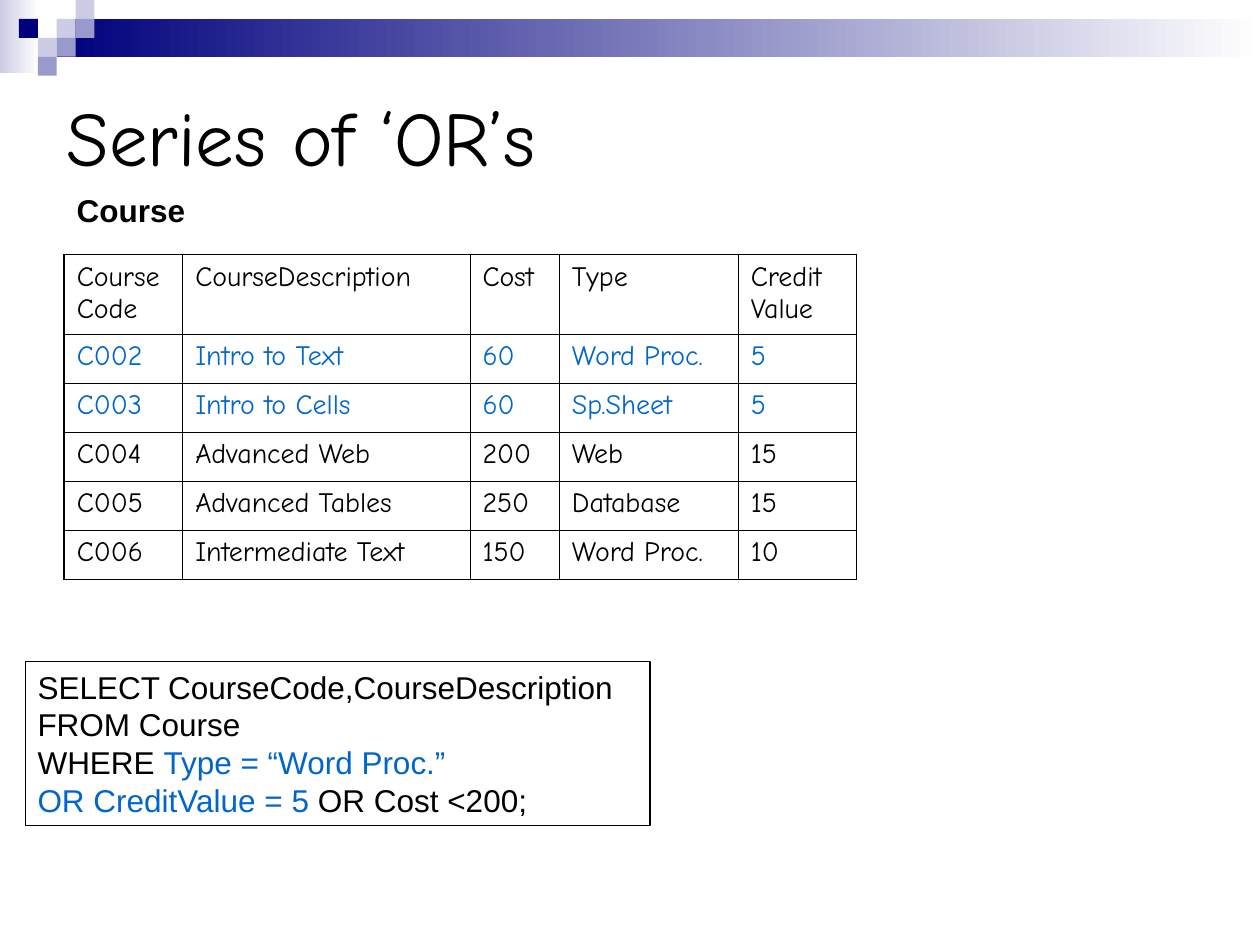
from lxml.etree import SubElement as Sub
from pptx import Presentation
from pptx.dml.color import RGBColor as RGB
from pptx.enum.shapes import MSO_SHAPE as Shape
from pptx.enum.text import MSO_ANCHOR as Anchor, MSO_AUTO_SIZE as Auto, PP_ALIGN as Align
from pptx.oxml.ns import qn
from pptx.util import Inches, Pt

BLACK = RGB(0, 0, 0)
WHITE = RGB(0xFF, 0xFF, 0xFF)
BLUE = RGB(0x00, 0x66, 0xCC)
NAVY = RGB(0x00, 0x00, 0x7D)
LILAC = RGB(0xCC, 0xCC, 0xE6)
MAUVE = RGB(0x99, 0x99, 0xCC)

TITLE = {"name": "Comic Neue", "size": Pt(44)}
CELL = {"name": "Comic Neue", "size": Pt(16)}
LABEL = {"name": "Arial", "size": Pt(18), "bold": True}
QUERY = {"name": "Arial", "size": Pt(18)}


def write(par, text, style, color=BLACK):
    run = par.add_run()
    run.text = text
    for key, val in style.items():
        setattr(run.font, key, val)
    run.font.color.rgb = color


def block(x, y, w, h):
    box = slide.shapes.add_shape(Shape.RECTANGLE, Inches(x), Inches(y), Inches(w), Inches(h))
    box.shadow.inherit = False
    box.line.fill.background()
    return box


deck = Presentation()
deck.slide_width, deck.slide_height = Inches(10), Inches(7.5)
slide = deck.slides.add_slide(deck.slide_layouts[5])

# Fading bars at the top
for x, y, w, h, tone in [(0, 0, 0.31, 0.58, LILAC), (0.45, 0.15, 9.55, 0.3, NAVY)]:
    fill = block(x, y, w, h).fill
    fill.gradient()
    fill.gradient_angle = 0
    for stop, color, pos in zip(fill.gradient_stops, (tone, WHITE), (0, 1)):
        stop.color.rgb = color
        stop.position = pos

# Small squares on a 0.15 inch grid
SIDE = 0.15
for col, row, color in [(3, 1, LILAC), (4, 0, LILAC), (4, 1, MAUVE), (2, 2, LILAC),
                        (1, 1, NAVY), (3, 2, MAUVE), (2, 3, MAUVE)]:
    fill = block(col * SIDE, row * SIDE, SIDE, SIDE).fill
    fill.solid()
    fill.fore_color.rgb = color

# Title
title = slide.shapes.title
title.left, title.top = Inches(0.43), Inches(0.52)
title.width, title.height = Inches(9), Inches(1.12)
frame = title.text_frame
frame.auto_size = Auto.NONE
frame.vertical_anchor = Anchor.MIDDLE
frame.paragraphs[0].alignment = Align.LEFT
write(frame.paragraphs[0], "Series of ‘OR’s", TITLE)

# Course table
rows = [
    ("Course Code", "CourseDescription", "Cost", "Type", "Credit Value"),
    ("C002", "Intro to Text", "60", "Word Proc.", "5"),
    ("C003", "Intro to Cells", "60", "Sp.Sheet", "5"),
    ("C004", "Advanced Web", "200", "Web", "15"),
    ("C005", "Advanced Tables", "250", "Database", "15"),
    ("C006", "Intermediate Text", "150", "Word Proc.", "10"),
]
wide = [0.94, 2.28, 0.71, 1.42, 0.94]
tall = [0.63] + [0.39] * 5
last_r, last_c = len(rows) - 1, len(wide) - 1
grid = slide.shapes.add_table(len(rows), len(wide), Inches(0.51), Inches(2.02),
                              Inches(sum(wide)), Inches(sum(tall))).table
grid.first_row = grid.horz_banding = False
for col, size in zip(grid.columns, wide):
    col.width = Inches(size)
for row, size in zip(grid.rows, tall):
    row.height = Inches(size)

for r, row in enumerate(rows):
    for c, text in enumerate(row):
        cell = grid.cell(r, c)
        write(cell.text_frame.paragraphs[0], text, CELL, BLUE if r in (1, 2) else BLACK)
        # Borders: thick on the outer edge, thin inside
        props = cell._tc.get_or_add_tcPr()
        edges = {"a:lnL": c == 0, "a:lnR": c == last_c, "a:lnT": r == 0, "a:lnB": r == last_r}
        for tag, outer in edges.items():
            line = Sub(props, qn(tag), w=str(Pt(1.08 if outer else 0.45)))
            Sub(Sub(line, qn("a:solidFill")), qn("a:srgbClr"), val=str(BLACK))
        if r == 0:
            cell.fill.background()
        else:
            cell.fill.solid()
            cell.fill.fore_color.rgb = WHITE

# Query box
query = [
    [("SELECT CourseCode,CourseDescription", BLACK)],
    [("FROM Course", BLACK)],
    [("WHERE ", BLACK), ("Type = “Word Proc.”", BLUE)],
    [("OR CreditValue = 5 ", BLUE), ("OR Cost <200;", BLACK)],
]
box = block(0.2, 5.25, 4.96, 1.3)
box.fill.background()
box.line.color.rgb = BLACK
box.line.width = Pt(0.75)
frame = box.text_frame
frame.word_wrap = True
frame.vertical_anchor = Anchor.TOP
for i, parts in enumerate(query):
    par = frame.add_paragraph() if i else frame.paragraphs[0]
    par.alignment = Align.LEFT
    for text, color in parts:
        write(par, text, QUERY, color)

# Table name
name = slide.shapes.add_textbox(Inches(0.51), Inches(1.47), Inches(2.91), Inches(0.4))
name.text_frame.word_wrap = True
write(name.text_frame.paragraphs[0], "Course", LABEL)

deck.save("out.pptx")
